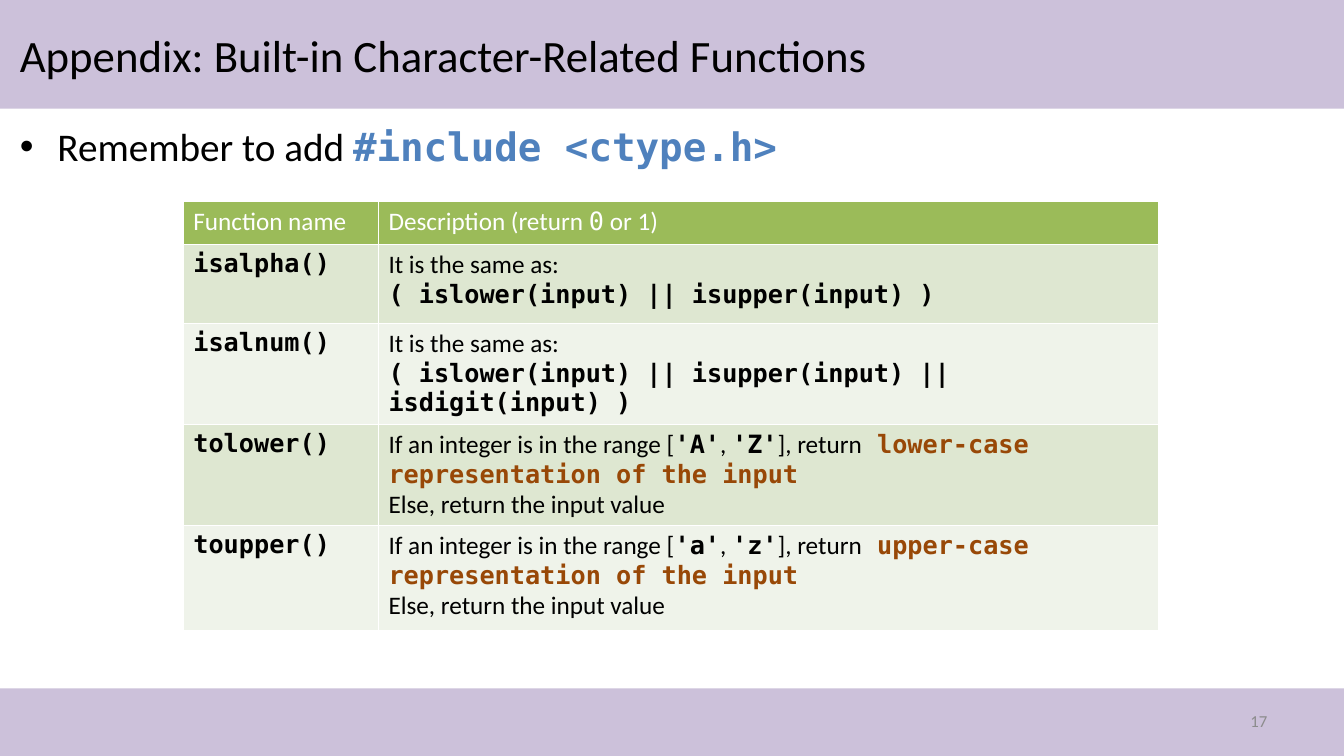
from lxml import etree
from pptx import Presentation
from pptx.dml.color import RGBColor
from pptx.enum.shapes import MSO_SHAPE
from pptx.enum.text import MSO_ANCHOR, PP_ALIGN
from pptx.oxml.ns import qn
from pptx.util import Cm, Pt

RECT = MSO_SHAPE.RECTANGLE
MIDDLE, TOP = MSO_ANCHOR.MIDDLE, MSO_ANCHOR.TOP
LEFT, RIGHT = PP_ALIGN.LEFT, PP_ALIGN.RIGHT

COLORS = {
    "band": "CCC1DA", "black": "000000", "white": "FFFFFF", "grey": "8C8C8C",
    "blue": "4F81BD", "brown": "984807", "head": "9BBB59",
    "dark": "DEE7D1", "light": "EFF3EA",
}
SANS, MONO = "Calibri", "DejaVu Sans Mono"
# Run style: font, colour, bold
STYLES = {
    "text": (SANS, "black", False),
    "code": (MONO, "black", True),
    "include": (MONO, "blue", True),
    "result": (MONO, "brown", True),
    "head": (SANS, "white", False),
    "digit": (MONO, "white", False),
    "page": (SANS, "grey", False),
}
WIDTH, HEIGHT = 33.87, 19.05


def same(code):
    return [[("It is the same as:", "text")], [(code, "code")]]


def convert(first, last, case):
    """Describe a function that changes the case of a letter range."""
    return [
        [("If an integer is in the range [", "text"), (first, "code"),
         (", ", "text"), (last, "code"), ("], return", "text"),
         (f" {case} representation of the input", "result")],
        [("Else, return the input value", "text")],
    ]


HEADER = ([[("Function name", "head")]],
          [[("Description (return ", "head"), ("0", "digit"), (" or 1)", "head")]])
ENTRIES = [
    ("isalpha()", same("( islower(input) || isupper(input) )")),
    ("isalnum()", same("( islower(input) || isupper(input) || isdigit(input) )")),
    ("tolower()", convert("'A'", "'Z'", "lower-case")),
    ("toupper()", convert("'a'", "'z'", "upper-case")),
]


def color(name):
    return RGBColor.from_string(COLORS[name])


def write(frame, lines, size, align=LEFT):
    """Fill a text frame with paragraphs of (text, style) runs."""
    for i, line in enumerate(lines):
        para = frame.add_paragraph() if i else frame.paragraphs[0]
        para.alignment = align
        for text, style in line:
            run = para.add_run()
            run.text = text
            face, tint, bold = STYLES[style]
            run.font.name, run.font.size, run.font.bold = face, Pt(size), bold
            run.font.color.rgb = color(tint)


def add_text(slide, box, lines, size, anchor=MIDDLE, align=LEFT):
    frame = slide.shapes.add_textbox(*map(Cm, box)).text_frame
    frame.word_wrap = True
    frame.vertical_anchor = anchor
    write(frame, lines, size, align)
    return frame


def add_band(slide, box):
    band = slide.shapes.add_shape(RECT, *map(Cm, box))
    band.shadow.inherit = False
    band.fill.solid()
    band.fill.fore_color.rgb = color("band")
    band.line.fill.background()


def add_header(slide, box):
    left, top, width, height = box
    add_band(slide, box)
    title = "Appendix: Built-in Character-Related Functions"
    add_text(slide, (left + 0.25, top + 0.2, width - 0.55, height - 0.4),
             [[(title, "text")]], 32)


def add_footer(slide, box):
    left, top, width, height = box
    add_band(slide, box)
    add_text(slide, (left + width - 9.58, top + 0.31, 7.9, 1.01),
             [[("17", "page")]], 12, align=RIGHT)


def add_bullet(slide, box):
    line = [("Remember to add ", "text"), ("#include <ctype.h>", "include")]
    frame = add_text(slide, box, [line], 28, TOP)
    props = frame.paragraphs[0]._p.get_or_add_pPr()
    props.set("marL", str(Cm(0.95)))
    props.set("indent", str(-Cm(0.95)))
    etree.SubElement(props, qn("a:buFont")).set("typeface", "Arial")
    etree.SubElement(props, qn("a:buChar")).set("char", "•")


def set_cell(cell, lines, fill):
    props = cell._tc.get_or_add_tcPr()
    for side in ("lnL", "lnR", "lnT", "lnB"):
        line = etree.SubElement(props, qn(f"a:{side}"), w=str(Pt(1)))
        paint = etree.SubElement(line, qn("a:solidFill"))
        etree.SubElement(paint, qn("a:srgbClr"), val=COLORS["white"])
    cell.fill.solid()
    cell.fill.fore_color.rgb = color(fill)
    write(cell.text_frame, lines, 18)


def add_grid(slide, box):
    rows = [HEADER] + [([[(name, "code")]], about) for name, about in ENTRIES]
    table = slide.shapes.add_table(len(rows), 2, *map(Cm, box)).table
    for col, share in zip(table.columns, (0.2, 0.8)):
        col.width = Cm(box[2] * share)
    for row, high in zip(table.rows, (1.08, 1.99, 2.15, 2.03, 2.66)):
        row.height = Cm(high)
    for r, row in enumerate(rows):
        fill = ("light", "dark")[r % 2] if r else "head"
        for c, lines in enumerate(row):
            set_cell(table.cell(r, c), lines, fill)


def main():
    deck = Presentation()
    deck.slide_width, deck.slide_height = Cm(WIDTH), Cm(HEIGHT)
    slide = deck.slides.add_slide(deck.slide_layouts[6])
    add_header(slide, (0, 0, WIDTH, 2.74))
    add_footer(slide, (0, HEIGHT - 1.7, WIDTH, 1.7))
    add_bullet(slide, (0.25, 2.97, 33.1, 14.17))
    add_grid(slide, (4.62, 5.08, 24.59, 9.91))
    deck.save("out.pptx")


if __name__ == "__main__":
    main()
